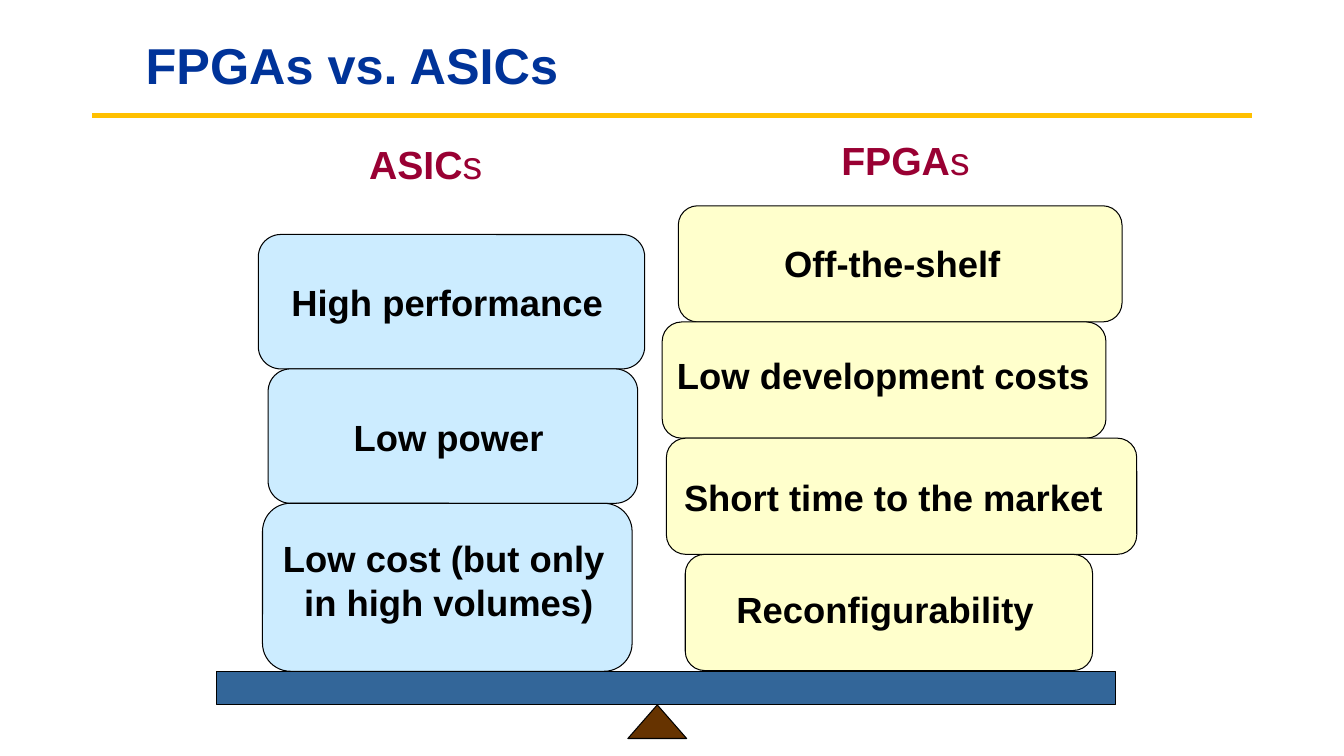
from pptx import Presentation
from pptx.dml.color import RGBColor
from pptx.enum import shapes, text
from pptx.oxml.ns import qn
from pptx.util import Pt

SHAPE = shapes.MSO_SHAPE
CENTER, LEFT = text.PP_ALIGN.CENTER, text.PP_ALIGN.LEFT

prs = Presentation()
prs.slide_width, prs.slide_height = Pt(960), Pt(540)
s = prs.slides.add_slide(prs.slide_layouts[6])


def add_block(kind, x, y, w, h, fill):
    sp = s.shapes.add_shape(kind, Pt(x), Pt(y), Pt(w), Pt(h))
    sp.shadow.inherit = False
    sp.fill.solid()
    sp.fill.fore_color.rgb = RGBColor.from_string(fill)
    sp.line.color.rgb = RGBColor.from_string("000000")
    sp.line.width = Pt(0.75)


def add_label(lines, x, y, w, h, size, color, align):
    """Each line is a list of (words, bold) runs."""
    tf = s.shapes.add_textbox(Pt(x), Pt(y), Pt(w), Pt(h)).text_frame
    tf.word_wrap = False
    tf.auto_size = text.MSO_AUTO_SIZE.SHAPE_TO_FIT_TEXT
    for i, runs in enumerate(lines):
        p = tf.add_paragraph() if i else tf.paragraphs[0]
        p.alignment = align
        for words, bold in runs:
            r = p.add_run()
            r.text = words
            r.font.name, r.font.size, r.font.bold = "Arial", Pt(size), bold
            r.font.color.rgb = RGBColor.from_string(color)


# Title and rule
add_label([[("FPGAs vs. ASICs", True)]], 96.5, 21, 310, 50.5, 36, "003399", CENTER)
rule = s.shapes.add_connector(shapes.MSO_CONNECTOR.STRAIGHT,
                              Pt(66), Pt(82.5), Pt(894), Pt(82.5))
rule.line.color.rgb = RGBColor.from_string("FFC000")
rule.line.width = Pt(3)
rule._element.spPr.append(rule._element.makeelement(qn("a:effectLst"), {}))

# Column headings
for name, x, y, w in [("ASIC", 256.5, 96.5, 95), ("FPGA", 593.5, 93.5, 106.5)]:
    add_label([[(name, True), ("s", False)]], x, y, w, 41, 28, "990033", CENTER)

# Stacks: block left, width, height, then label left, top, width, lines
asics = [
    (184.5, 276, 96, 201, 196.5, 237, ["High performance"]),
    (191.5, 264, 96, 245.5, 293, 150.5, ["Low power"]),
    (187.5, 264, 120, 195, 379.5, 251.5, ["Low cost (but only ", "in high volumes)"]),
]
fpgas = [
    (484.5, 317, 83, 553, 168.5, 169, ["Off-the-shelf"]),
    (473, 317, 83, 476.5, 249, 309.5, ["Low development costs"]),
    (476, 336, 83, 481.5, 335.5, 314, ["Short time to the market"]),
    (489.5, 291, 83, 519, 416, 227, ["Reconfigurability"]),
]
for stack, top, fill in [(asics, 167.5, "CCECFF"), (fpgas, 147, "FFFFCC")]:
    for x, w, h, label_x, label_y, label_w, lines in stack:
        add_block(SHAPE.ROUNDED_RECTANGLE, x, top, w, h, fill)
        add_label([[(line, True)] for line in lines], label_x, label_y, label_w,
                  6.5 + 31.5 * len(lines), 26, "000000",
                  CENTER if len(lines) > 1 else LEFT)
        top += h

# Balance beam and pivot
add_block(SHAPE.RECTANGLE, 155, 479.5, 642, 24, "336699")
add_block(SHAPE.ISOSCELES_TRIANGLE, 448.5, 503.5, 42, 24, "663300")

prs.save("out.pptx")
